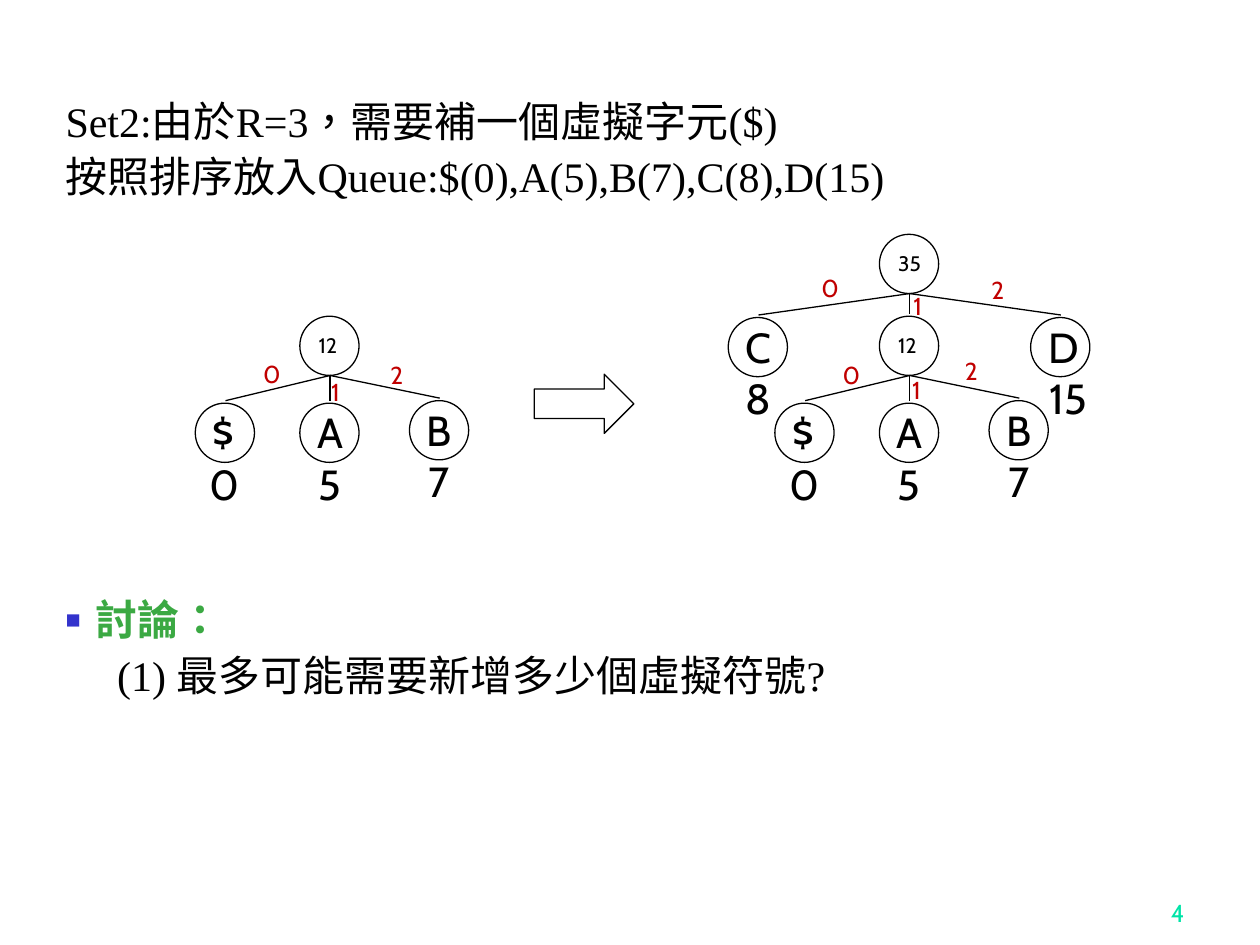
"""Build the slide on ternary Huffman trees with a dummy symbol."""
import pptx
import pptx.util
import pptx.dml.color
import pptx.enum.shapes
import pptx.enum.text
import pptx.oxml.ns
import lxml.etree

Inches, Pt = pptx.util.Inches, pptx.util.Pt
ALIGN = pptx.enum.text.PP_ALIGN
SHAPE = pptx.enum.shapes.MSO_SHAPE
qn = pptx.oxml.ns.qn


def color(value):
    return pptx.dml.color.RGBColor.from_string(value)


def write(paragraph, text, size=24, ink="000000", face="Cabin", bold=False, align=ALIGN.LEFT):
    paragraph.alignment = align
    run = paragraph.add_run()
    run.text = text
    run._r.get_or_add_rPr().set("lang", "zh-TW")
    run.font.size, run.font.name, run.font.bold = Pt(size), face, bold
    run.font.color.rgb = color(ink)


presentation = pptx.Presentation()
presentation.slide_width, presentation.slide_height = Inches(10), Inches(7.5)
slide = presentation.slides.add_slide(presentation.slide_layouts[1])
shapes = slide.shapes
heading = shapes.title._element
heading.getparent().remove(heading)

body = slide.placeholders[1]
body.left, body.top, body.width, body.height = Inches(0.42), Inches(0.75), Inches(8.83), Inches(6.15)
body.text_frame.auto_size = pptx.enum.text.MSO_AUTO_SIZE.NONE
lines = [
    ("Set2:由於R=3，需要補一個虛擬字元($)", 0, 0, "000000"),
    ("按照排序放入Queue:$(0),A(5),B(7),C(8),D(15)", 6, 0, "000000"),
    ("討論：", 227, 0.24, "3BA943"),
    ("(1) 最多可能需要新增多少個虛擬符號?", 6, 0.41, "000000"),
]
for number, (text, before, indent, ink) in enumerate(lines):
    line = body.text_frame.paragraphs[0] if number == 0 else body.text_frame.add_paragraph()
    is_topic = text == "討論："
    line.line_spacing, line.space_before, line.space_after = 0.9, Pt(before), Pt(0)
    properties = line._p.get_or_add_pPr()
    properties.set("marL", str(Inches(indent)))
    properties.set("indent", str(-Inches(indent) if is_topic else 0))
    if is_topic:
        bullet_color = lxml.etree.SubElement(properties, qn("a:buClr"))
        lxml.etree.SubElement(bullet_color, qn("a:srgbClr"), val="3333CC")
        lxml.etree.SubElement(properties, qn("a:buSzPct"), val="60000")
        lxml.etree.SubElement(properties, qn("a:buChar"), char="■")
    else:
        lxml.etree.SubElement(properties, qn("a:buNone"))
    write(line, text, ink=ink, face="Times New Roman", bold=is_topic)

leaves = [(-0.83, 3.2, "$", "0"), (0, 3.2, "A", "5"), (0.87, 3.18, "B", "7")]
upper = [(-1.2, 2.52, "C", "8"), (0, 2.51, None, None), (1.2, 2.52, "D", "15")]
trees = [(2.38, 2.51, "12", leaves), (6.98, 2.51, "12", leaves), (6.98, 1.86, "35", upper)]
diameter, radius = 0.47, 0.24

nodes, edges, labels = [], [], []
for root_left, root_top, total, children in trees:
    nodes.append((SHAPE.OVAL, root_left, root_top, diameter))
    labels.append((root_left + 0.05, root_top + 0.08, 0.39, 0.3, total, {"size": 12}))
    for offset, top, symbol, weight in children:
        left = root_left + offset
        edges.append((left + radius, top - 0.02, root_left + radius, root_top + diameter))
        if symbol:
            nodes.append((SHAPE.OVAL, left, top, diameter))
            labels.append((left + 0.04, top - 0.02, 0.4, 0.5, symbol, {}))
            width = 0.6 if len(weight) > 1 else diameter
            labels.append((left, top + 0.39, width, 0.5, weight, {"align": ALIGN.CENTER}))
nodes.append((SHAPE.RIGHT_ARROW, 4.24, 2.97, 0.79))

branch_spots = {
    "0": [(1.99, 2.8), (6.59, 2.81), (6.42, 2.12)],
    "1": [(2.53, 2.94), (7.14, 2.93), (7.15, 2.26)],
    "2": [(3, 2.81), (7.56, 2.78), (7.77, 2.13)],
}
for digit, spots in branch_spots.items():
    for left, top in spots:
        labels.append((left, top, 0.24, 0.34, digit, {"size": 14, "ink": "C00000"}))
labels.append((7.42, 7.08, 2.08, 0.34, "4", {"size": 14, "ink": "00E4A8", "align": ALIGN.RIGHT}))

for kind, left, top, width in nodes:
    node = shapes.add_shape(kind, Inches(left), Inches(top), Inches(width), Inches(diameter))
    node.shadow.inherit = False
    node.fill.solid()
    node.fill.fore_color.rgb = color("FFFFFF")
    node.line.color.rgb = color("000000")
    node.line.width = Pt(0.75)

for ends in edges:
    edge = shapes.add_connector(pptx.enum.shapes.MSO_CONNECTOR.STRAIGHT, *map(Inches, ends))
    edge.line.color.rgb = color("000000")
    edge.line.width = Pt(0.75)
    lxml.etree.SubElement(edge._element.spPr, qn("a:effectLst"))

for left, top, width, height, text, style in labels:
    label = shapes.add_textbox(Inches(left), Inches(top), Inches(width), Inches(height))
    label.text_frame.word_wrap = True
    write(label.text_frame.paragraphs[0], text, **style)

presentation.save("out.pptx")
